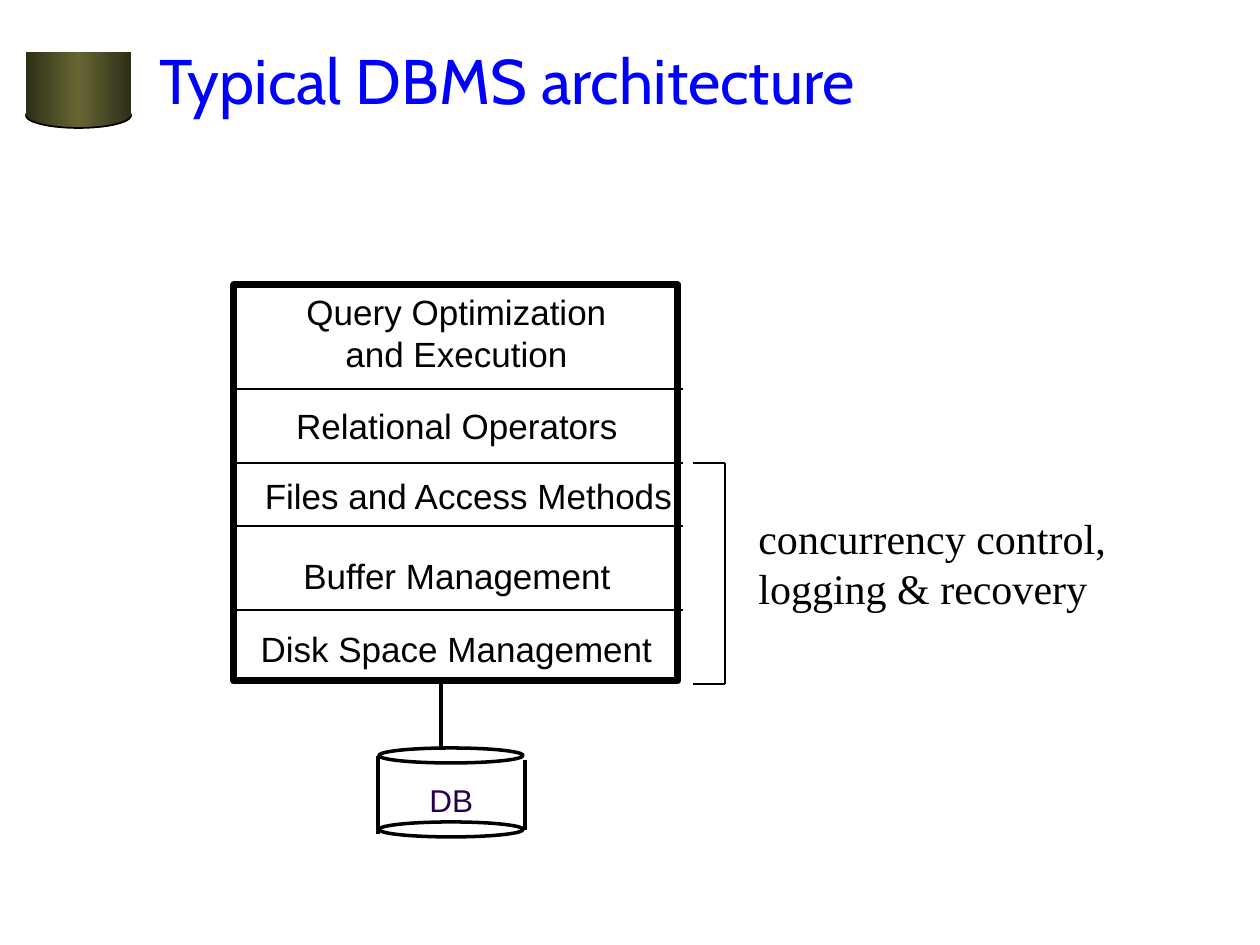
from copy import deepcopy
from dataclasses import dataclass

from lxml.etree import SubElement
from pptx import Presentation
from pptx.dml.color import RGBColor as RGB
from pptx.enum.shapes import MSO_CONNECTOR as CONN, MSO_SHAPE as SHAPE
from pptx.enum.text import MSO_ANCHOR as ANCHOR, MSO_AUTO_SIZE as AUTO, PP_ALIGN as ALIGN
from pptx.oxml.ns import qn
from pptx.util import Emu, Pt


@dataclass(frozen=True)
class Theme:
    black: str = "000000"
    title: str = "0000FF"
    db: str = "280049"
    olive: str = "666633"
    dark_olive: str = "2F2F18"
    title_pt: int = 36
    note_pt: int = 24
    layer_pt: int = 20
    db_pt: int = 18
    thin: int = 1
    medium: int = 2
    thick: int = 4
    heading_font: str = "Cabin"
    label_font: str = "Arial"
    note_font: str = "Times New Roman"


def px(n):
    return Emu(round(n * 914400 / 126))


def write(tf, text, *, font, size, color, align=ALIGN.LEFT, anchor=ANCHOR.TOP, wrap=False):
    tf.word_wrap = wrap
    tf.auto_size = AUTO.NONE if wrap else AUTO.SHAPE_TO_FIT_TEXT
    tf.vertical_anchor = anchor
    for i, line in enumerate(text.split("\n")):
        p = tf.add_paragraph() if i else tf.paragraphs[0]
        p.alignment = align
        r = p.add_run()
        r.text = line
        r.font.name, r.font.size = font, Pt(size)
        r.font.color.rgb = RGB.from_string(color)


class SlideBuilder:
    """Draws styled elements on the current slide."""

    def __init__(self, prs, theme):
        self.theme = theme
        self.s = prs.slides.add_slide(prs.slide_layouts[5])

    def title(self, text, x, y, w, h):
        t, sp = self.theme, self.s.shapes.title
        sp.left, sp.top, sp.width, sp.height = map(px, (x, y, w, h))
        write(sp.text_frame, text, font=t.heading_font, size=t.title_pt,
              color=t.title, anchor=ANCHOR.MIDDLE, wrap=True)

    def text(self, text, x, y, w, h, **fmt):
        sp = self.s.shapes.add_textbox(*map(px, (x, y, w, h)))
        write(sp.text_frame, text, **fmt)

    def shape(self, kind, x, y, w, h, weight=None, gradient=None):
        sp = self.s.shapes.add_shape(kind, *map(px, (x, y, w, h)))
        sp.shadow.inherit = False
        if gradient:
            self.fill_gradient(sp, gradient)
        else:
            sp.fill.background()
        if weight:
            sp.line.color.rgb = RGB.from_string(self.theme.black)
            sp.line.width = Pt(weight)
        else:
            sp.line.fill.background()

    def fill_gradient(self, sp, colors):
        sp.fill.gradient()
        sp.fill.gradient_angle = 0
        stops = sp._element.spPr.find(".//" + qn("a:gsLst"))
        while len(stops) < len(colors):
            stops.append(deepcopy(stops[0]))
        for i, (stop, color) in enumerate(zip(sp.fill.gradient_stops, colors)):
            stop.position = i / (len(colors) - 1)
            stop.color.rgb = RGB.from_string(color)

    def line(self, x1, y1, x2, y2, weight):
        c = self.s.shapes.add_connector(CONN.STRAIGHT, *map(px, (x1, y1, x2, y2)))
        c.line.color.rgb = RGB.from_string(self.theme.black)
        c.line.width = Pt(weight)
        SubElement(c._element.spPr, qn("a:effectLst"))


def main():
    prs = Presentation()
    prs.slide_width, prs.slide_height = px(1260), px(945)
    t = Theme()
    b = SlideBuilder(prs, t)

    olive = (t.dark_olive, t.olive, t.dark_olive)
    b.shape(SHAPE.OVAL, 26, 103, 105, 25, weight=t.thin, gradient=olive)
    b.shape(SHAPE.RECTANGLE, 26, 52, 105, 64, gradient=olive)
    b.title("Typical DBMS architecture", 147, 0, 1071, 158)

    layers = [
        ("Query Optimization\nand Execution", 294, 284, 325, 97),
        ("Relational Operators", 283, 398, 348, 54),
        ("Files and Access Methods", 251, 468, 435, 54),
        ("Buffer Management", 290, 548, 334, 54),
        ("Disk Space Management", 248, 621, 417, 54),
    ]
    for layer in layers:
        b.text(*layer, font=t.label_font, size=t.layer_pt, color=t.black, align=ALIGN.CENTER)
    b.shape(SHAPE.RECTANGLE, 234, 285, 444, 396, weight=t.thick)
    for y in (389, 463, 526, 610):
        b.line(231, y, 683, y, t.thin)

    for y in (748, 822):
        b.shape(SHAPE.OVAL, 379, y, 144, 15, weight=t.medium)
    b.line(378, 756, 378, 834, t.medium)
    b.line(525, 760, 525, 830, t.medium)
    b.text("DB", 417, 775, 69, 50, font=t.label_font, size=t.db_pt, color=t.db)
    b.line(441, 684, 441, 747, t.medium)

    top, bottom, left, right = 463, 684, 693, 725
    for y in (top, bottom):
        b.line(left, y, right, y, t.thin)
    b.line(right, top, right, bottom, t.thin)
    b.text("concurrency control,\nlogging & recovery", 746, 506, 373, 113,
           font=t.note_font, size=t.note_pt, color=t.black)

    prs.save("out.pptx")


if __name__ == "__main__":
    main()
